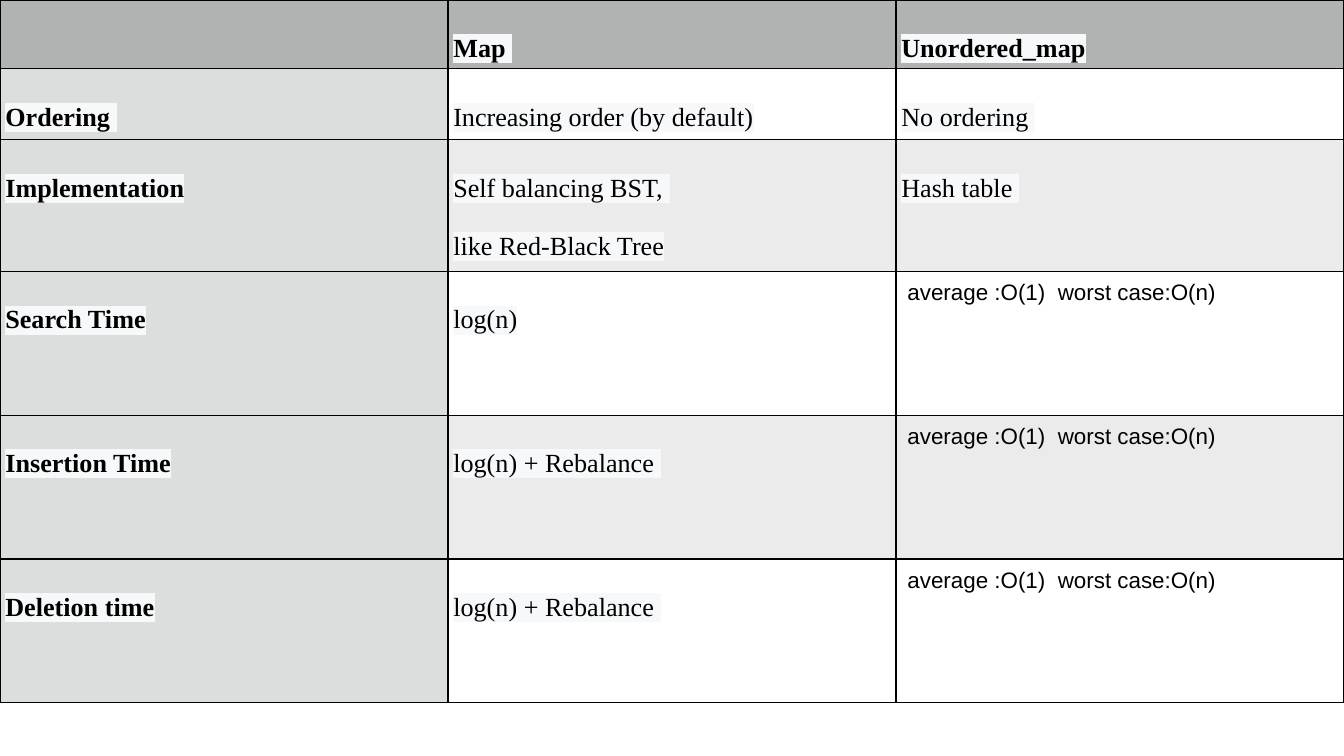
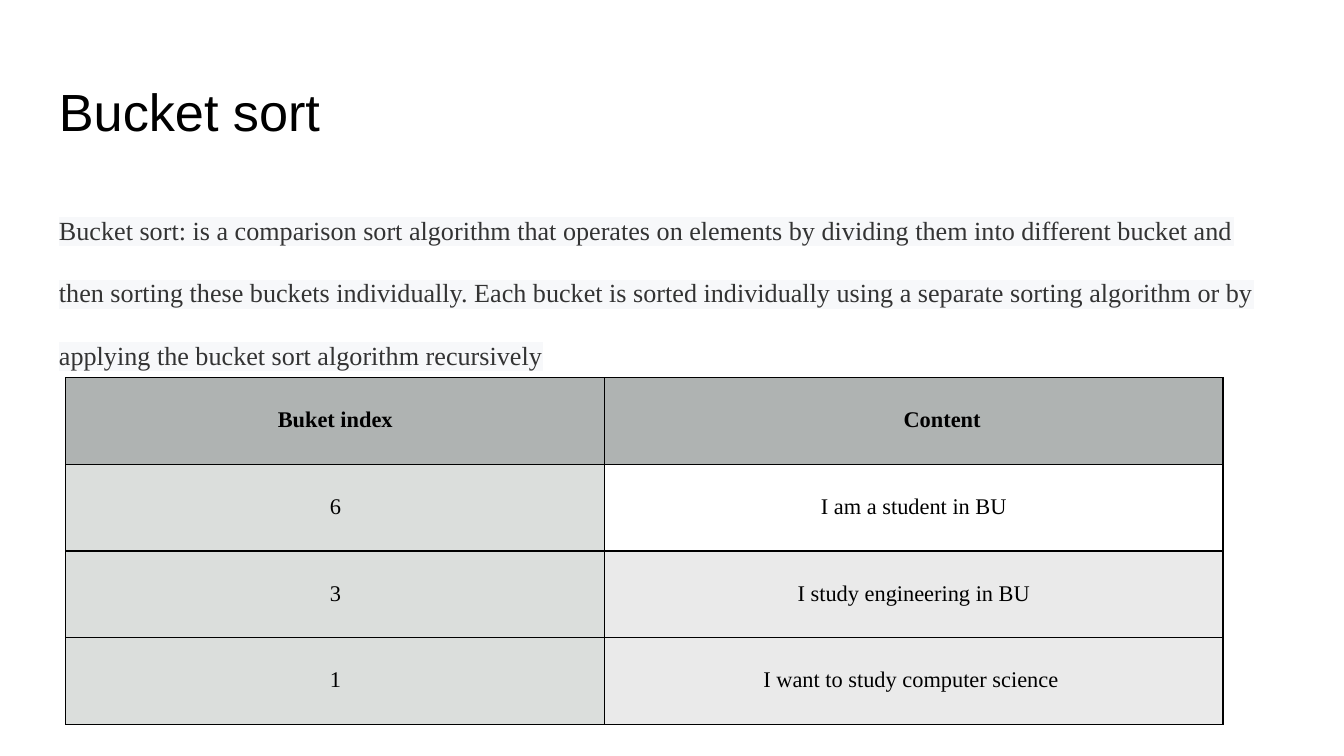
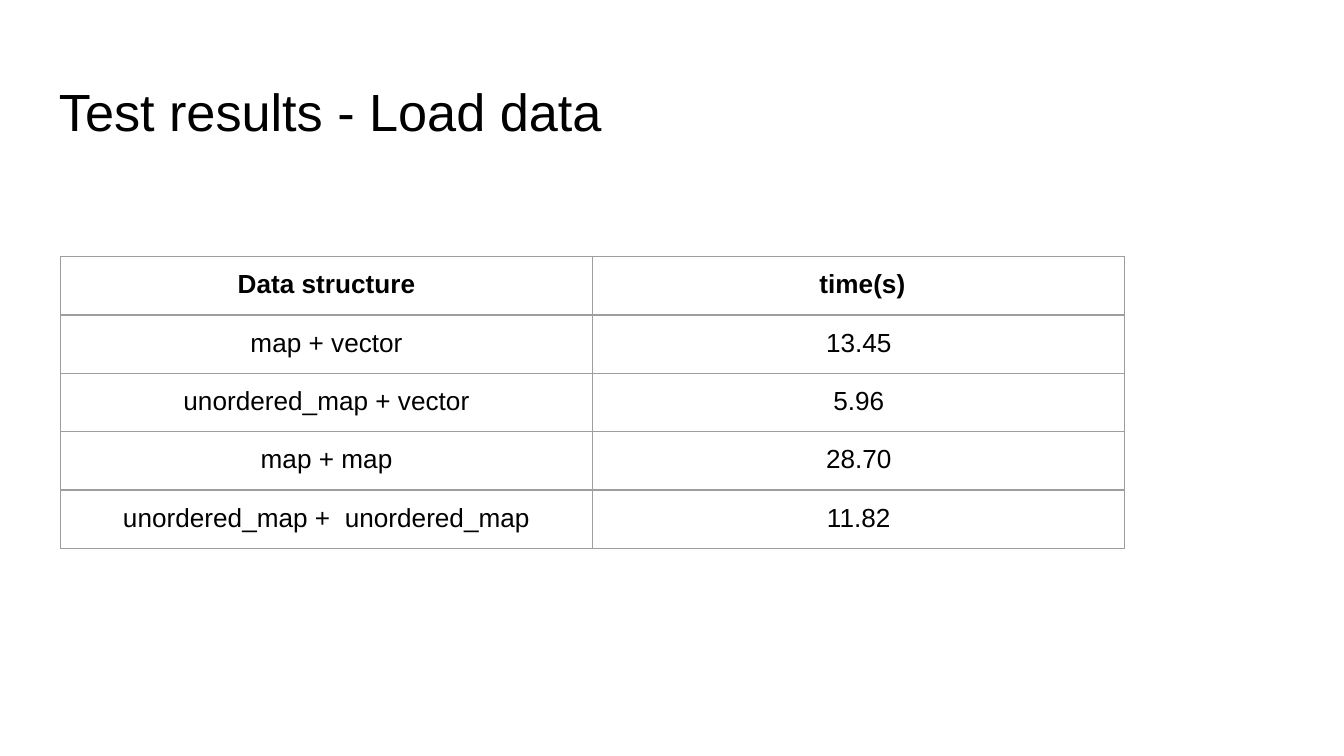
from lxml import etree
from pptx import Presentation
from pptx.dml.color import RGBColor
from pptx.enum import text
from pptx.oxml import ns
from pptx.util import Inches, Pt

# Shared look
COLORS = {
    "ink": "000000",
    "body": "333333",
    "highlight": "F7F8FA",
    "map_head": "B0B3B2",
    "map_label": "DCDEDD",
    "map_band": "EBEBEB",
    "bucket_head": "AFB3B2",
    "bucket_label": "DBDEDC",
    "bucket_band": "EAEAEA",
    "grid": "9E9E9E",
}
SANS, SERIF = "Arial", "Times New Roman"
CENTER = text.PP_ALIGN.CENTER
SLIDE_WIDTH = 10
TEXT_LEFT, TEXT_WIDTH = 0.34, 9.32


def rgb(name):
    return RGBColor.from_string(COLORS[name])


def add_highlight(r, name):
    """Mark a run's background; the element goes ahead of any font name."""
    highlight = etree.Element(ns.qn("a:highlight"))
    etree.SubElement(highlight, ns.qn("a:srgbClr"), val=COLORS[name])
    r._r.get_or_add_rPr().insert(0, highlight)


def write(tf, content, font, size, color="ink", bold=False, align=None,
          spacing=1.0, before=None, highlight=False):
    """Fill a text frame, one paragraph per line of content."""
    for i, line in enumerate(content.split("\n")):
        p = tf.add_paragraph() if i else tf.paragraphs[0]
        p.font.name, p.font.size, p.font.bold = font, Pt(size), bold
        p.font.color.rgb = rgb(color)
        p.alignment, p.line_spacing = align, spacing
        if before:
            p.space_before = Pt(before)
        if line:
            r = p.add_run()
            r.text = line
            if highlight:
                add_highlight(r, "highlight")


def add_text(s, top, height, content, **style):
    sp = s.shapes.add_textbox(Inches(TEXT_LEFT), Inches(top),
                              Inches(TEXT_WIDTH), Inches(height))
    tf = sp.text_frame
    tf.word_wrap = True
    tf.margin_left = tf.margin_right = Inches(0.1)
    tf.margin_top = tf.margin_bottom = Inches(0.1)
    write(tf, content, **style)


def add_title(s, title):
    add_text(s, 0.49, 0.63, title, font=SANS, size=28)


def set_borders(cell, color):
    tcPr = cell._tc.get_or_add_tcPr()
    for i, side in enumerate(("lnL", "lnR", "lnT", "lnB")):
        ln = etree.Element(ns.qn("a:" + side), w=str(Pt(0.75)))
        fill = etree.SubElement(ln, ns.qn("a:solidFill"))
        etree.SubElement(fill, ns.qn("a:srgbClr"), val=COLORS[color])
        tcPr.insert(i, ln)


def add_grid(s, left, top, widths, heights, border, margin):
    """Add an unfilled table with even borders and cell margins."""
    table = s.shapes.add_table(
        len(heights), len(widths), Inches(left), Inches(top),
        Inches(sum(widths)), Inches(sum(heights))).table
    table.first_row = table.horz_banding = False
    for column, width in zip(table.columns, widths):
        column.width = Inches(width)
    for row, height in zip(table.rows, heights):
        row.height = Inches(height)
    for cell in table.iter_cells():
        cell.margin_left = cell.margin_right = Inches(margin)
        cell.margin_top = cell.margin_bottom = Inches(margin)
        cell.fill.background()
        set_borders(cell, border)
    return table


def fill_cell(cell, name):
    if name:
        cell.fill.solid()
        cell.fill.fore_color.rgb = rgb(name)


# Slides
def map_comparison(s):
    hash_time = " average :O(1)  worst case:O(n)"
    rows = [
        ("", "Map ", "Unordered_map"),
        ("Ordering ", "Increasing order (by default)", "No ordering "),
        ("Implementation", "Self balancing BST, \nlike Red-Black Tree",
         "Hash table "),
        ("Search Time", "log(n)", hash_time),
        ("Insertion Time", "log(n) + Rebalance ", hash_time),
        ("Deletion time", "log(n) + Rebalance ", hash_time),
    ]
    table = add_grid(s, 0, 0, [SLIDE_WIDTH / 3] * 3,
                     [0.51, 0.53, 0.98] + [1.07] * 3, "ink", 0.04)
    for i, row in enumerate(rows):
        for j, content in enumerate(row):
            cell = table.cell(i, j)
            if content == hash_time:
                write(cell.text_frame, content, SANS, 12, spacing=1.15,
                      before=12)
            else:
                write(cell.text_frame, content, SERIF, 14, spacing=2.0,
                      bold=i == 0 or j == 0, highlight=True)
            band = "map_band" if i % 2 == 0 else None
            fill_cell(cell, "map_head" if i == 0 else
                      "map_label" if j == 0 else band)


def bucket_sort(s):
    add_title(s, "Bucket sort")
    add_text(s, 1.26, 3.74,
             "Bucket sort: is a comparison sort algorithm that operates on "
             "elements by dividing them into different bucket and then "
             "sorting these buckets individually. Each bucket is sorted "
             "individually using a separate sorting algorithm or by applying "
             "the bucket sort algorithm recursively",
             font=SERIF, size=14, color="body", spacing=2.0, highlight=True)

    rows = [
        ("Buket index", "Content", "bucket_head", "bucket_head"),
        ("6", "I am a student in BU", "bucket_label", None),
        ("3", "I study engineering in BU", "bucket_label", "bucket_band"),
        ("1", "I want to study computer science ", "bucket_label",
         "bucket_band"),
    ]
    table = add_grid(s, 0.49, 2.81, [4.01, 0.3, 2.15, 2.15],
                     [2.58 / len(rows)] * len(rows), "ink", 0.04)
    for i, (index, content, index_fill, content_fill) in enumerate(rows):
        table.cell(i, 1).merge(table.cell(i, 3))
        for j, (value, fill) in enumerate(((index, index_fill),
                                           (content, content_fill))):
            cell = table.cell(i, j)
            write(cell.text_frame, value, SERIF, 12, bold=i == 0,
                  align=CENTER, spacing=2.0)
            fill_cell(cell, fill)
    # The content heading sits a little right of centre
    table.cell(0, 1).margin_left = Inches(0.46)


def load_results(s):
    add_title(s, "Test results - Load data")
    rows = [
        ("Data structure", " time(s)"),
        ("map + vector", "13.45"),
        ("unordered_map + vector", "5.96"),
        ("map + map", "28.70"),
        ("unordered_map +  unordered_map", "11.82"),
    ]
    table = add_grid(s, 0.45, 1.91, [3.96] * 2, [0.42] * len(rows),
                     "grid", 0.1)
    for i, row in enumerate(rows):
        for j, content in enumerate(row):
            write(table.cell(i, j).text_frame, content, SANS, 14,
                  bold=i == 0, align=CENTER)


def main():
    prs = Presentation()
    prs.slide_width = Inches(SLIDE_WIDTH)
    prs.slide_height = Inches(SLIDE_WIDTH * 9 / 16)
    for build in (map_comparison, bucket_sort, load_results):
        build(prs.slides.add_slide(prs.slide_layouts[6]))
    prs.save("out.pptx")


main()
